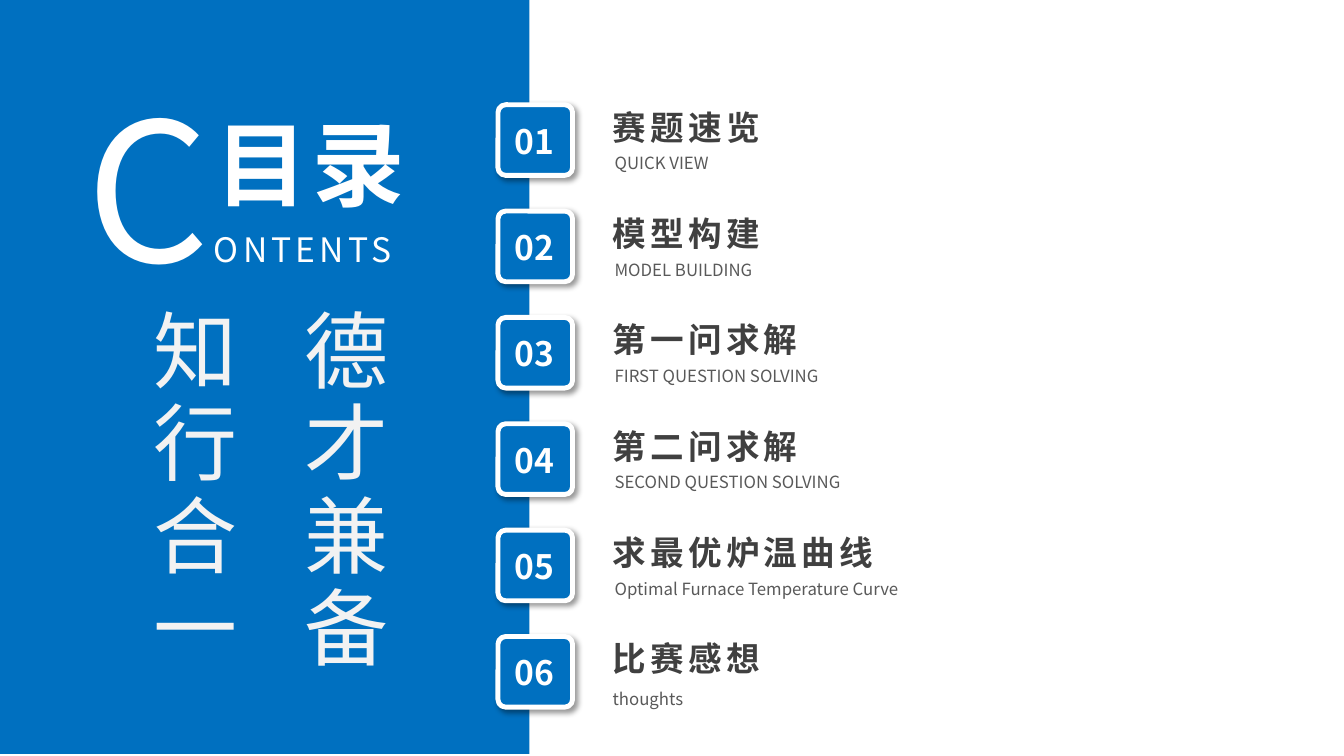
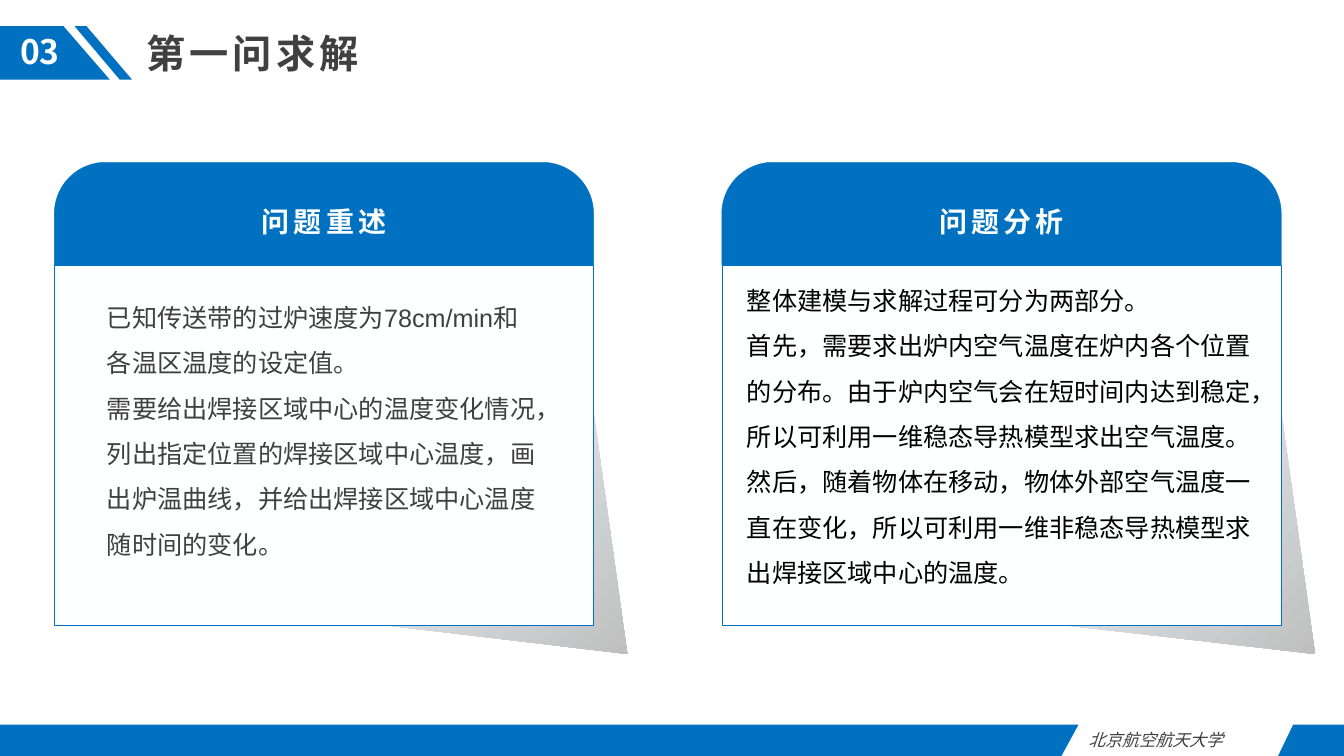
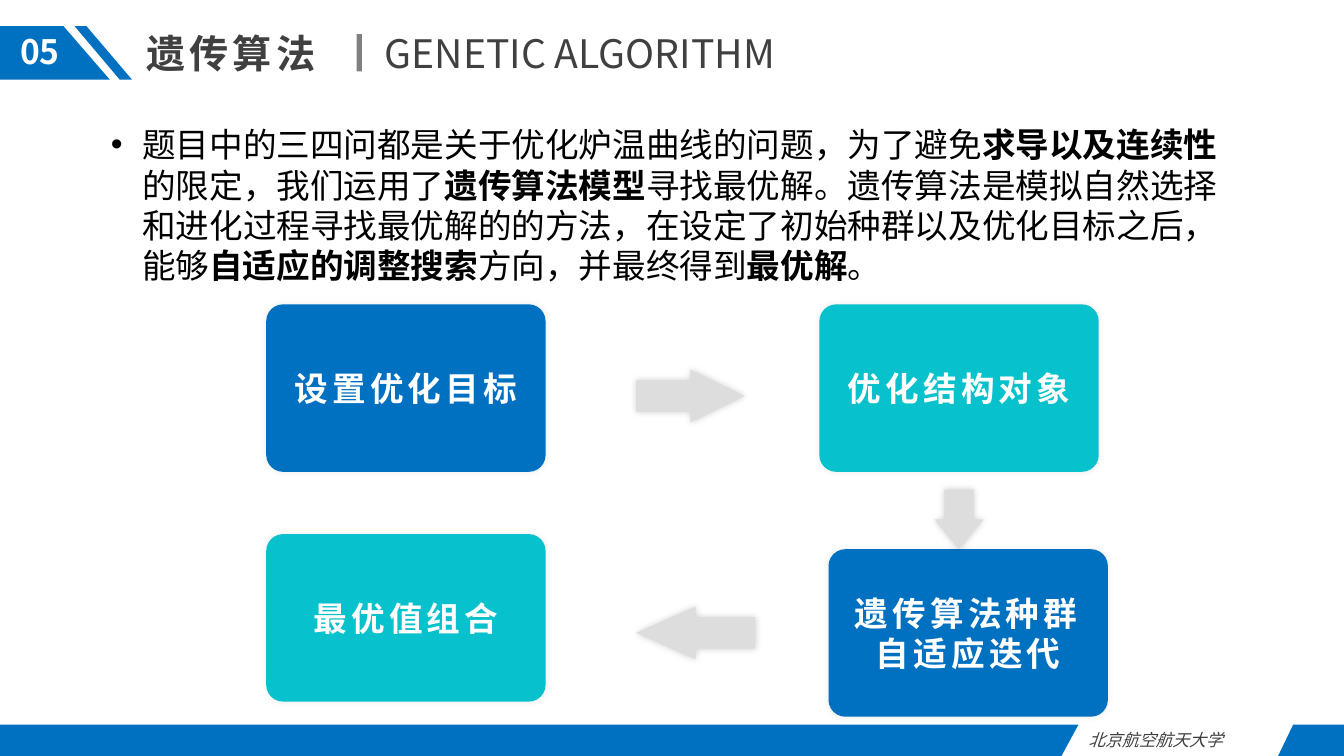
from dataclasses import dataclass, replace
from typing import Optional, Sequence

from lxml import etree
from pptx import Presentation
from pptx.dml.color import RGBColor
from pptx.enum.shapes import MSO_SHAPE
from pptx.enum.text import MSO_ANCHOR, MSO_AUTO_SIZE, PP_ALIGN
from pptx.oxml.ns import qn
from pptx.util import Cm, Pt

RECT, ROUNDED = MSO_SHAPE.RECTANGLE, MSO_SHAPE.ROUNDED_RECTANGLE
ROUND_TOP = MSO_SHAPE.ROUND_2_SAME_RECTANGLE
RIGHT, DOWN, LEFT = MSO_SHAPE.RIGHT_ARROW, MSO_SHAPE.DOWN_ARROW, MSO_SHAPE.LEFT_ARROW
ALIGN_LEFT, CENTER, JUSTIFY = PP_ALIGN.LEFT, PP_ALIGN.CENTER, PP_ALIGN.JUSTIFY
TOP, MIDDLE = MSO_ANCHOR.TOP, MSO_ANCHOR.MIDDLE
GROW = MSO_AUTO_SIZE.SHAPE_TO_FIT_TEXT

BLUE, TEAL, WHITE, OFF_WHITE = "0070C0", "07C1CC", "FFFFFF", "FEFFFF"
BLACK, DARK, GRAY, BAR_GRAY, ARROW_GRAY = "000000", "404040", "595959", "808080", "DDDDDD"
CJK = "Noto Sans CJK SC"
SLIDE_W, SLIDE_H = 33.87, 19.05

Box = tuple[float, float, float, float]  # left, top, width, height in cm
Point = tuple[float, float]


@dataclass(frozen=True)
class Style:
    size: float
    color: str
    bold: bool = False
    italic: bool = False
    spacing: float = 0
    font: str = CJK


@dataclass(frozen=True)
class Shadow:
    opacity: int
    blur: float
    distance: float = 0
    angle: int = 0


@dataclass(frozen=True)
class Entry:
    heading: str
    subtitle: str
    subtitle_left: float = 15.24
    subtitle_drop: float = 1.09


@dataclass(frozen=True)
class Card:
    heading: str
    left: float
    width: float
    text_box: Box
    color: str
    lines: tuple[str, ...]


@dataclass(frozen=True)
class Step:
    label: str
    left: float
    top: float
    color: str


@dataclass(frozen=True)
class Arrow:
    kind: int
    box: Box


TITLE = Style(28, DARK, bold=True, spacing=3)
NUMBER = Style(24, WHITE, bold=True)
ENTRY_HEADING = Style(24, DARK, bold=True, spacing=3)
ENTRY_SUBTITLE = Style(12, GRAY)
CARD_HEADING = Style(20, OFF_WHITE, bold=True, spacing=3)
STEP_LABEL = Style(24, WHITE, bold=True, spacing=3)
BADGE_SHADOW, STEP_SHADOW, ARROW_SHADOW = Shadow(40, 4, 3, 45), Shadow(8, 5), Shadow(18, 5)

ENTRIES = [
    Entry("赛题速览", "QUICK VIEW"),
    Entry("模型构建", "MODEL BUILDING"),
    Entry("第一问求解", "FIRST QUESTION SOLVING"),
    Entry("第二问求解", "SECOND QUESTION SOLVING"),
    Entry("求最优炉温曲线", "Optimal Furnace Temperature Curve"),
    Entry("比赛感想", "thoughts", 15.19, 1.19),
]
CARDS = [
    Card("问题重述", 1.37, 13.59, (2.44, 7.11, 11.35, 7.95), DARK, (
        "已知传送带的过炉速度为78cm/min和各温区温度的设定值。",
        "需要给出焊接区域中心的温度变化情况，列出指定位置的焊接区域中心温度，"
        "画出炉温曲线，并给出焊接区域中心温度随时间的变化。")),
    Card("问题分析", 18.19, 14.1, (18.57, 6.68, 13.39, 9.09), BLACK, (
        "整体建模与求解过程可分为两部分。",
        "首先，需要求出炉内空气温度在炉内各个位置的分布。由于炉内空气会在短时间内达到稳定，"
        "所以可利用一维稳态导热模型求出空气温度。",
        "然后，随着物体在移动，物体外部空气温度一直在变化，"
        "所以可利用一维非稳态导热模型求出焊接区域中心的温度。")),
]
STEPS = [
    Step("设置优化目标", 6.71, 7.67, BLUE),
    Step("优化结构对象", 20.65, 7.67, TEAL),
    Step("遗传算法种群自适应迭代", 20.88, 13.84, BLUE),
    Step("最优值组合", 6.71, 13.46, TEAL),
]
ARROWS = [
    Arrow(RIGHT, (16.03, 9.32, 2.74, 1.32)),
    Arrow(DOWN, (23.55, 12.34, 1.24, 1.5)),
    Arrow(LEFT, (16.03, 15.29, 3, 1.32)),
]
# Emphasised phrases sit at the odd positions
ALGORITHM_TEXT = [
    "题目中的三四问都是关于优化炉温曲线的问题，为了避免", "求导以及连续性",
    "的限定，我们运用了", "遗传算法模型",
    "寻找最优解。遗传算法是模拟自然选择和进化过程寻找最优解的的方法，"
    "在设定了初始种群以及优化目标之后，能够", "自适应的调整搜索",
    "方向，并最终得到", "最优解", "。",
]


# Text helpers
def rgb(color: str) -> RGBColor:
    return RGBColor.from_string(color)


def style_run(run, style: Style) -> None:
    font = run.font
    font.size, font.bold, font.italic = Pt(style.size), style.bold, style.italic
    font.color.rgb = rgb(style.color)
    font.name = style.font
    properties = run._r.get_or_add_rPr()
    etree.SubElement(properties, qn("a:ea")).set("typeface", CJK)
    if style.spacing:
        properties.set("spc", str(int(style.spacing * 100)))


def write(frame, lines: Sequence[str], style: Style, align=ALIGN_LEFT, line_spacing: float = 1) -> None:
    frame.text = "\n".join(lines)
    for paragraph in frame.paragraphs:
        paragraph.alignment = align
        paragraph.line_spacing = line_spacing
        paragraph.space_before = Pt(0)
        for run in paragraph.runs:
            style_run(run, style)


def write_runs(paragraph, pieces: Sequence[tuple[str, Style]]) -> None:
    for text, style in pieces:
        run = paragraph.add_run()
        run.text = text
        style_run(run, style)


def add_label(slide, box: Box, lines: Sequence[str], style: Style, align=ALIGN_LEFT,
              line_spacing: float = 1, wrap: bool = True):
    label = slide.shapes.add_textbox(*map(Cm, box))
    frame = label.text_frame
    frame.word_wrap, frame.auto_size = wrap, GROW
    write(frame, lines, style, align, line_spacing)
    return label


def place(slide, placeholder, box: Box):
    """Move a placeholder to a box, in front of what is already drawn."""
    placeholder.left, placeholder.top, placeholder.width, placeholder.height = map(Cm, box)
    slide.shapes._spTree.append(placeholder._element)
    frame = placeholder.text_frame
    frame.word_wrap, frame.auto_size, frame.vertical_anchor = True, GROW, TOP
    return frame


def set_bullet(paragraph, indent: float, char: Optional[str] = None) -> None:
    properties = paragraph._p.get_or_add_pPr()
    properties.set("marL", str(Cm(indent)))
    properties.set("indent", str(-Cm(indent)))
    if char:
        etree.SubElement(properties, qn("a:buFont")).set("typeface", "Arial")
        etree.SubElement(properties, qn("a:buChar")).set("char", char)
    else:
        etree.SubElement(properties, qn("a:buNone"))


# Shape helpers
def paint(shape, fill: str, line: Optional[str] = None, width: float = 0,
          shadow: Optional[Shadow] = None) -> None:
    shape.fill.solid()
    shape.fill.fore_color.rgb = rgb(fill)
    if line:
        shape.line.color.rgb = rgb(line)
        shape.line.width = Pt(width)
    else:
        shape.line.fill.background()
    shape.shadow.inherit = False
    if shadow:
        effects = shape._element.spPr.find(qn("a:effectLst"))
        outer = etree.SubElement(effects, qn("a:outerShdw"), blurRad=str(Pt(shadow.blur)),
                                 dist=str(Pt(shadow.distance)), dir=str(shadow.angle * 60000),
                                 algn="ctr", rotWithShape="0")
        color = etree.SubElement(outer, qn("a:srgbClr"), val=BLACK)
        etree.SubElement(color, qn("a:alpha"), val=str(shadow.opacity * 1000))


def add_block(slide, kind, box: Box, fill: str, line: Optional[str] = None, width: float = 0,
              shadow: Optional[Shadow] = None, adjust: Sequence[float] = ()):
    block = slide.shapes.add_shape(kind, *map(Cm, box))
    for index, value in enumerate(adjust):
        block.adjustments[index] = value
    paint(block, fill, line, width, shadow)
    return block


def add_polygon(slide, points: Sequence[Point], fill: str):
    corners = [(Cm(x), Cm(y)) for x, y in points]
    builder = slide.shapes.build_freeform(*corners[0], scale=1.0)
    builder.add_line_segments(corners[1:], close=True)
    polygon = builder.convert_to_shape()
    paint(polygon, fill)
    return polygon


# Shared title, header tab and footer band
def add_chrome(slide, number: str, title: str, title_width: float) -> None:
    write(place(slide, slide.shapes.title, (3.43, 0.61, title_width, 1.45)), [title], TITLE)
    add_polygon(slide, [(0, 0.66), (1.6, 0.66), (2.77, 2.01), (0, 2.01)], BLUE)
    add_polygon(slide, [(2.18, 0.66), (3.33, 2.01), (3.02, 2.01), (1.88, 0.66)], BLUE)
    add_label(slide, (0, 0.66, 2.01, 1.27), [number], NUMBER, CENTER)
    band_top = 18.26
    add_polygon(slide, [(0, band_top), (27.18, band_top), (26.75, SLIDE_H), (0, SLIDE_H)], BLUE)
    add_polygon(slide, [(32.59, band_top), (SLIDE_W, band_top), (SLIDE_W, SLIDE_H),
                        (32.21, SLIDE_H)], BLUE)
    add_label(slide, (27.18, band_top, 5.03, 0.76), ["北京航空航天大学"],
              Style(12, DARK, italic=True), JUSTIFY)


def add_entry(slide, index: int, entry: Entry) -> None:
    top = 2.64 + index * 2.68
    add_block(slide, ROUNDED, (12.55, top, 1.88, 1.78), BLUE, WHITE, 3.5, BADGE_SHADOW, [0.11])
    add_label(slide, (12.47, top + 0.27, 2.01, 1.27), [f"{index + 1:02}"], NUMBER, CENTER)
    add_label(slide, (15.19, top - 0.08, 7.75, 1.27), [entry.heading], ENTRY_HEADING)
    add_label(slide, (entry.subtitle_left, top + entry.subtitle_drop, 10.67, 0.76),
              [entry.subtitle], ENTRY_SUBTITLE)


def add_card(slide, card: Card, body) -> None:
    right = card.left + card.width
    curl = add_polygon(slide, [(right, 10.39), (right + 0.85, 16.48),
                               (card.left + 0.56 * card.width, 15.67), (right, 15.67)], WHITE)
    curl.fill.gradient()
    curl.fill.gradient_angle = 315
    for stop, color, position in zip(curl.fill.gradient_stops, ("EFF8FF", "BFBFBF"), (0, 1)):
        stop.color.rgb, stop.position = rgb(color), position
    head = add_block(slide, ROUND_TOP, (card.left, 4.09, card.width, 2.59), BLUE, BLUE, 0.25,
                     adjust=[0.5, 0])
    head.text_frame.vertical_anchor = MIDDLE
    write(head.text_frame, [card.heading], CARD_HEADING, CENTER)
    add_block(slide, RECT, (card.left, 6.68, card.width, 9.07), OFF_WHITE, BLUE, 0.25)
    frame = place(slide, body, card.text_box)
    write(frame, card.lines, Style(18, card.color, font="Arial"), line_spacing=1.5)
    for paragraph in frame.paragraphs:
        set_bullet(paragraph, 0)


def add_step(slide, step: Step) -> None:
    block = add_block(slide, ROUNDED, (step.left, step.top, 7.04, 4.22), step.color,
                      shadow=STEP_SHADOW, adjust=[0.1])
    block.text_frame.word_wrap = True
    block.text_frame.vertical_anchor = MIDDLE
    write(block.text_frame, [step.label], STEP_LABEL, CENTER)


def add_arrow(slide, arrow: Arrow) -> None:
    breadth, length = sorted(arrow.box[2:])
    add_block(slide, arrow.kind, arrow.box, ARROW_GRAY, shadow=ARROW_SHADOW,
              adjust=[0.6, length / 2 / breadth])


# Slides
def build_contents(slide) -> None:
    add_block(slide, RECT, (0, -0.05, 13.34, SLIDE_H), BLUE)
    initial = Style(138, WHITE, spacing=3)
    contents = add_label(slide, (1.93, 1.63, 9.35, 6.15), [""], initial, JUSTIFY)
    write_runs(contents.text_frame.paragraphs[0],
               [("C", initial), ("ONTENTS", replace(initial, size=24))])
    title = place(slide, slide.shapes.title, (5.18, 2.57, 6.2, 3.07))
    write(title, ["目录"], Style(66, WHITE, bold=True, spacing=3), JUSTIFY)
    motto = add_label(slide, (3.12, 7.52, 8.2, 10.44), ["德才兼备", "知行合一"],
                      Style(60, "F2F2F2", spacing=6), JUSTIFY, 1.5, wrap=False)
    motto.text_frame._txBody.bodyPr.set("vert", "eaVert")
    for index, entry in enumerate(ENTRIES):
        add_entry(slide, index, entry)


def build_first_question(slide) -> None:
    add_chrome(slide, "03", "第一问求解", 6.53)
    for card, body in zip(CARDS, list(slide.placeholders)[1:]):
        add_card(slide, card, body)


def build_genetic_algorithm(slide) -> None:
    add_chrome(slide, "05", "遗传算法", 4.98)
    add_block(slide, RECT, (8.99, 0.86, 0.13, 0.94), BAR_GRAY)
    add_label(slide, (9.45, 0.61, 10.87, 1.45), ["GENETIC ALGORITHM"], Style(28, DARK), wrap=False)
    frame = place(slide, slide.placeholders[1], (2.54, 3, 29.13, 4.37))
    paragraph = frame.paragraphs[0]
    set_bullet(paragraph, 0.79, "•")
    paragraph.space_before = Pt(0)
    write_runs(paragraph, [(text, Style(24, BLACK, bold=index % 2 == 1))
                           for index, text in enumerate(ALGORITHM_TEXT)])
    for step in STEPS:
        add_step(slide, step)
    for arrow in ARROWS:
        add_arrow(slide, arrow)


def main() -> None:
    deck = Presentation()
    deck.slide_width, deck.slide_height = Cm(SLIDE_W), Cm(SLIDE_H)
    title_only, two_content, title_content = (deck.slide_layouts[i] for i in (5, 3, 1))
    build_contents(deck.slides.add_slide(title_only))
    build_first_question(deck.slides.add_slide(two_content))
    build_genetic_algorithm(deck.slides.add_slide(title_content))
    deck.save("out.pptx")


if __name__ == "__main__":
    main()
